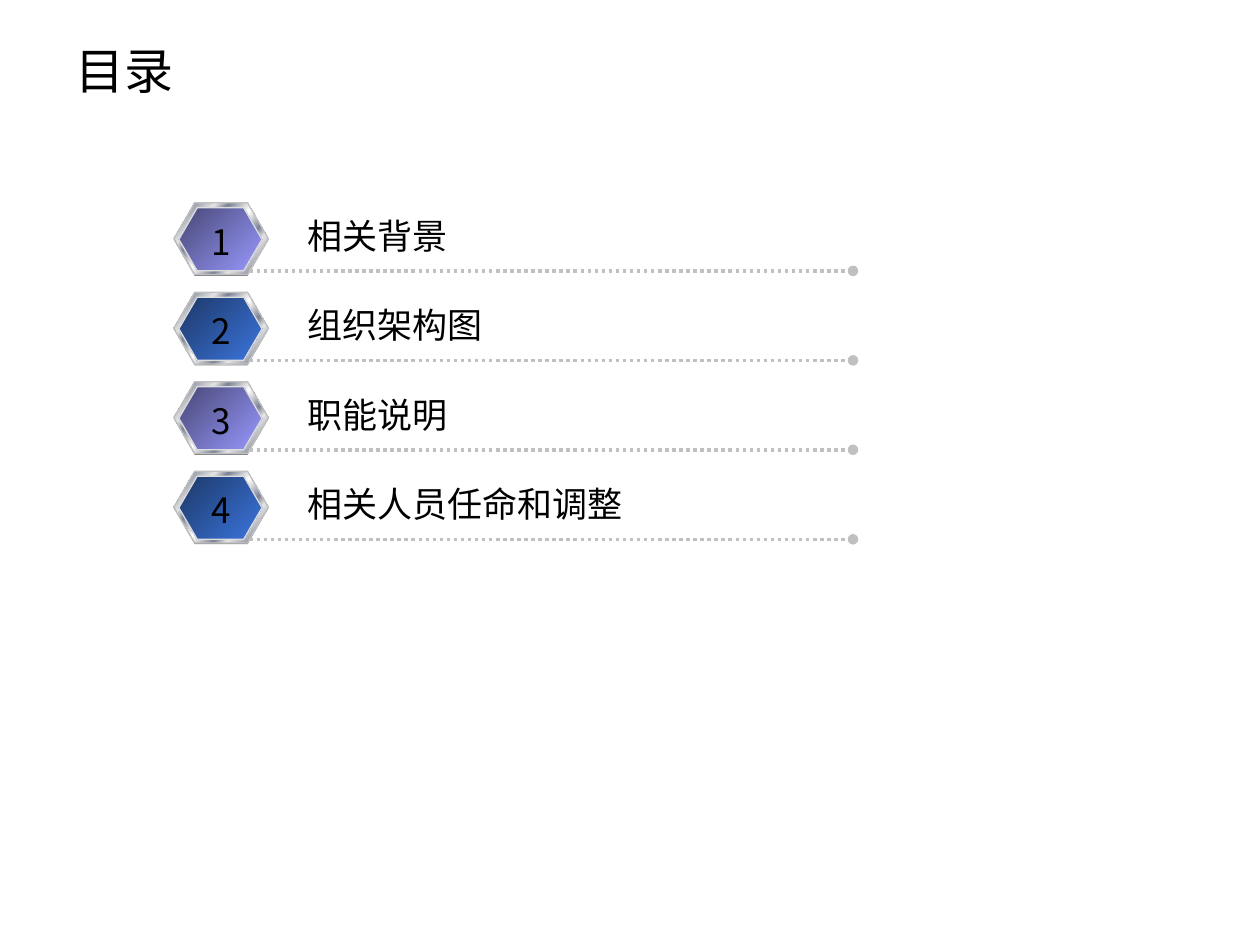
from lxml import etree
from pptx import Presentation
from pptx.dml.color import RGBColor
from pptx.enum import dml, shapes, text
from pptx.oxml.ns import qn
from pptx.util import Inches, Pt

FONT = "Noto Sans CJK SC"
TITLE = "目录"
ITEMS = ["相关背景", "组织架构图", "职能说明", "相关人员任命和调整"]
PURPLE = [(0, "474776"), (100, "9999FF")]
BLUE = [(0, "1C3767"), (100, "3C76DE")]
FACES = [PURPLE, BLUE]
METAL = [(0, "E6E6E6"), (8, "7D8496"), (26, "E6E6E6"), (34, "7D8496"),
         (46, "E6E6E6"), (50, "FFFFFF"), (54, "E6E6E6"), (66, "7D8496"),
         (74, "E6E6E6"), (92, "7D8496"), (100, "E6E6E6")]
FIRST_TOP, PITCH = 1.61, 0.71

presentation = Presentation()
presentation.slide_width, presentation.slide_height = Inches(10), Inches(7.5)
slide = presentation.slides.add_slide(presentation.slide_layouts[6])


def color(value):
    return RGBColor.from_string(value)


def fill_gradient(shape, stops):
    shape.fill.gradient()
    shape.fill.gradient_angle = 315
    stop_list = shape._element.spPr.find(".//" + qn("a:gsLst"))
    for stop in list(stop_list):
        stop_list.remove(stop)
    for position, value in stops:
        stop = etree.SubElement(stop_list, qn("a:gs"), pos=str(position * 1000))
        etree.SubElement(stop, qn("a:srgbClr"), val=value)


def add_hexagon(group, left, top, width, height, fill, line=None):
    shape = group.shapes.add_shape(shapes.MSO_SHAPE.HEXAGON, Inches(left),
                                   Inches(top), Inches(width), Inches(height))
    shape.shadow.inherit = False
    shape.adjustments[0] = 0.29
    if isinstance(fill, str):
        shape.fill.solid()
        shape.fill.fore_color.rgb = color(fill)
    else:
        fill_gradient(shape, fill)
    if line:
        shape.line.color.rgb = color(line)
        shape.line.width = Pt(0.75)
    else:
        shape.line.fill.background()


def add_rule(top):
    rule = slide.shapes.add_connector(shapes.MSO_CONNECTOR.STRAIGHT, Inches(1.98),
                                      Inches(top), Inches(6.77), Inches(top))
    rule.line.color.rgb = color("C0C0C0")
    rule.line.width = Pt(2)
    rule.line.dash_style = dml.MSO_LINE.ROUND_DOT
    etree.SubElement(rule.line._get_or_add_ln(), qn("a:tailEnd"), type="oval")
    etree.SubElement(rule._element.spPr, qn("a:effectLst"))


def add_text(content, left, top, width, height, size=20, wrap=True,
             align=text.PP_ALIGN.LEFT, anchor=text.MSO_ANCHOR.TOP):
    box = slide.shapes.add_textbox(Inches(left), Inches(top),
                                   Inches(width), Inches(height))
    frame = box.text_frame
    frame.text = content
    frame.word_wrap = wrap
    frame.vertical_anchor = anchor
    paragraph = frame.paragraphs[0]
    paragraph.alignment = align
    font = paragraph.runs[0].font
    font.name, font.size = FONT, Pt(size)
    font.color.rgb = color("000000")
    etree.SubElement(font._element, qn("a:ea"), typeface=FONT)


add_text(TITLE, 0.5, 0.13, 9, 0.85, size=28, anchor=text.MSO_ANCHOR.MIDDLE)

for index, item in enumerate(ITEMS):
    top = FIRST_TOP + index * PITCH
    badge = slide.shapes.add_group_shape()
    add_hexagon(badge, 1.38, top + 0.01, 0.75, 0.57, "808080")
    add_hexagon(badge, 1.38, top, 0.75, 0.57, METAL, "C0C0C0")
    add_hexagon(badge, 1.42, top + 0.04, 0.66, 0.5, FACES[index % 2], "DDDDDD")
    add_rule(top + 0.54)
    add_text(str(index + 1), 1.57, top + 0.09, 0.37, 0.44, wrap=False,
             align=text.PP_ALIGN.CENTER)
    add_text(item, 2.34, top + 0.04, 4.22, 0.44)

presentation.save("out.pptx")
